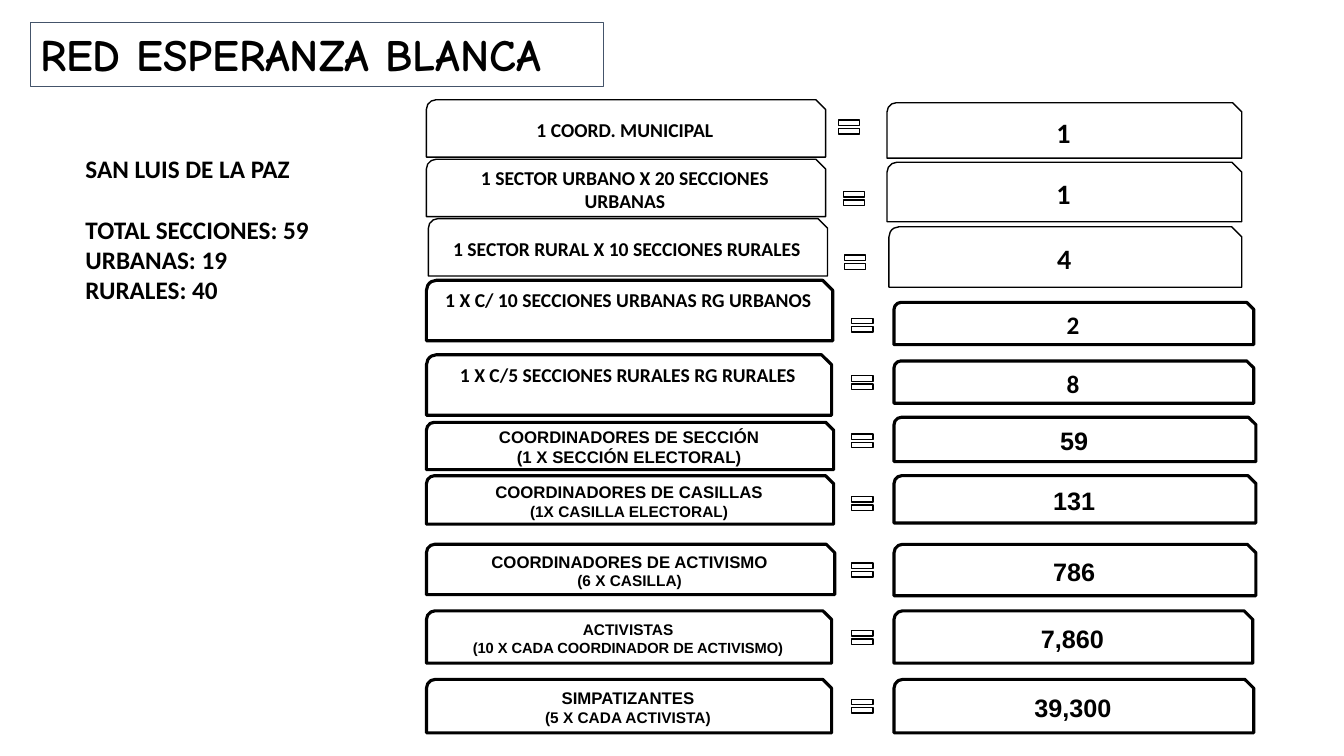
from pptx import Presentation
from pptx.dml.color import RGBColor
from pptx.enum.shapes import MSO_SHAPE as Shape
from pptx.enum.text import MSO_ANCHOR as Anchor, PP_ALIGN as Align
from pptx.util import Pt

COLORS = {"ink": "000000", "paper": "FFFFFF", "title_border": "44546A"}

# Styles of the two groups of rows
THIN = {"line": 1, "equal_size": (20.2, 17.3), "number_size": 20}
THICK = {"line": 2.25, "equal_size": (20.9, 16.6), "number_size": 18}

# Boxes are left, top, width, height in points
# Thin rows: label lines with sizes, label box, equal sign corner, number, number box
THIN_ROWS = [
    ([("1 COORD. MUNICIPAL", 14)], (304.6, 71.3, 285.1, 41),
     (596.2, 82.1), "1", (633.6, 73.4, 253.4, 39.6)),
    ([("1 SECTOR URBANO X 20 SECCIONES URBANAS", 14)], (304.6, 113.8, 285.1, 41),
     (599.8, 133.2), "1", (633.6, 115.9, 253.4, 42.5)),
    ([("1 SECTOR RURAL X 10 SECCIONES RURALES", 14)], (306, 156.2, 285.1, 41),
     (600.5, 178.6), "4", (635, 162, 252, 43.2)),
]

# Thick rows share their left edges:
# font, anchor, label lines, label (top, width, height), equal top, number, number box
LABEL_LEFT, EQUAL_LEFT, NUMBER_LEFT = 304.6, 605.5, 638.6
THICK_ROWS = [
    ("Calibri", Anchor.TOP, [("1 X C/ 10 SECCIONES URBANAS RG URBANOS", 14)],
     (200.2, 290.2, 43.2), 223.9, "2", (216, 257, 30.2)),
    ("Calibri", Anchor.TOP, [("1 X C/5 SECCIONES RURALES RG RURALES", 14)],
     (253.4, 289.4, 43.2), 265, "8", (257.8, 257, 30.2)),
    ("Arial", Anchor.MIDDLE, [("COORDINADORES DE SECCIÓN", 12), ("(1 X SECCIÓN ELECTORAL)", 12)],
     (301.7, 290.9, 33.8), 306.7, "59", (298.1, 258.5, 31.7)),
    ("Arial", Anchor.MIDDLE, [("COORDINADORES DE CASILLAS", 12), ("(1X CASILLA ELECTORAL)", 11)],
     (339.8, 290.9, 34.6), 351.4, "131", (339.8, 258.5, 33.8)),
    ("Arial", Anchor.MIDDLE, [("COORDINADORES DE ACTIVISMO", 12), ("(6 X CASILLA)", 11)],
     (388.8, 291.6, 36), 398.9, "786", (388.8, 258.5, 36.7)),
    ("Arial", Anchor.MIDDLE, [("ACTIVISTAS", 11), ("(10 X CADA COORDINADOR DE ACTIVISMO)", 10.5)],
     (436.3, 289.4, 37.4), 447.1, "7,860", (436.3, 256.3, 37.4)),
    ("Arial", Anchor.MIDDLE, [("SIMPATIZANTES", 12), ("(5 X CADA ACTIVISTA)", 11)],
     (485.3, 289.4, 38.2), 496.1, "39,300", (485.3, 257, 38.2)),
]


def color(name):
    return RGBColor.from_string(COLORS[name])


def write_lines(shape, lines, font_name, align, anchor):
    frame = shape.text_frame
    frame.word_wrap = True
    frame.vertical_anchor = anchor
    for index, (text, size) in enumerate(lines):
        paragraph = frame.add_paragraph() if index else frame.paragraphs[0]
        paragraph.alignment = align
        run = paragraph.add_run()
        run.text = text
        for name, value in {"name": font_name, "size": Pt(size), "bold": True}.items():
            setattr(run.font, name, value)
        run.font.color.rgb = color("ink")
    return frame


def add_outlined(slide, kind, box, line_width, line_color="ink", fill="paper"):
    shape = slide.shapes.add_shape(kind, *map(Pt, box))
    shape.shadow.inherit = False
    if fill:
        shape.fill.solid()
        shape.fill.fore_color.rgb = color(fill)
    else:
        shape.fill.background()
    shape.line.color.rgb = color(line_color)
    shape.line.width = Pt(line_width)
    return shape


def add_row(slide, style, font_name, anchor, lines, label_box, equal_corner, number, number_box):
    number_lines = [(number, style["number_size"])]
    for box, texts in ((label_box, lines), (number_box, number_lines)):
        shape = add_outlined(slide, Shape.SNIP_ROUND_RECTANGLE, box, style["line"])
        write_lines(shape, texts, font_name, Align.CENTER, anchor)
    add_outlined(slide, Shape.MATH_EQUAL, equal_corner + style["equal_size"], 1)


def main():
    presentation = Presentation()
    presentation.slide_width, presentation.slide_height = Pt(960), Pt(540)
    slide = presentation.slides.add_slide(presentation.slide_layouts[6])

    # Rows with thick borders
    for font_name, anchor, lines, label, equal_top, number, number_box in THICK_ROWS:
        add_row(slide, THICK, font_name, anchor, lines, (LABEL_LEFT, *label),
                (EQUAL_LEFT, equal_top), number, (NUMBER_LEFT, *number_box))

    # Title
    title = add_outlined(slide, Shape.RECTANGLE, (21.6, 15.8, 409.7, 46.1), 0.75,
                         "title_border", None)
    write_lines(title, [("RED ESPERANZA BLANCA", 32)], "Comic Neue", Align.LEFT, Anchor.TOP)

    # Municipality and its totals
    totals = slide.shapes.add_textbox(Pt(54), Pt(105.8), Pt(175.7), Pt(116.6))
    texts = ["SAN LUIS DE LA PAZ", "TOTAL SECCIONES: 59", "URBANAS: 19", "RURALES: 40"]
    frame = write_lines(totals, [(text, 18) for text in texts], "Calibri", Align.LEFT, Anchor.TOP)
    frame.paragraphs[1].space_before = Pt(22)

    # Rows with thin borders
    for row in THIN_ROWS:
        add_row(slide, THIN, "Calibri", Anchor.MIDDLE, *row)

    presentation.save("out.pptx")


if __name__ == "__main__":
    main()
